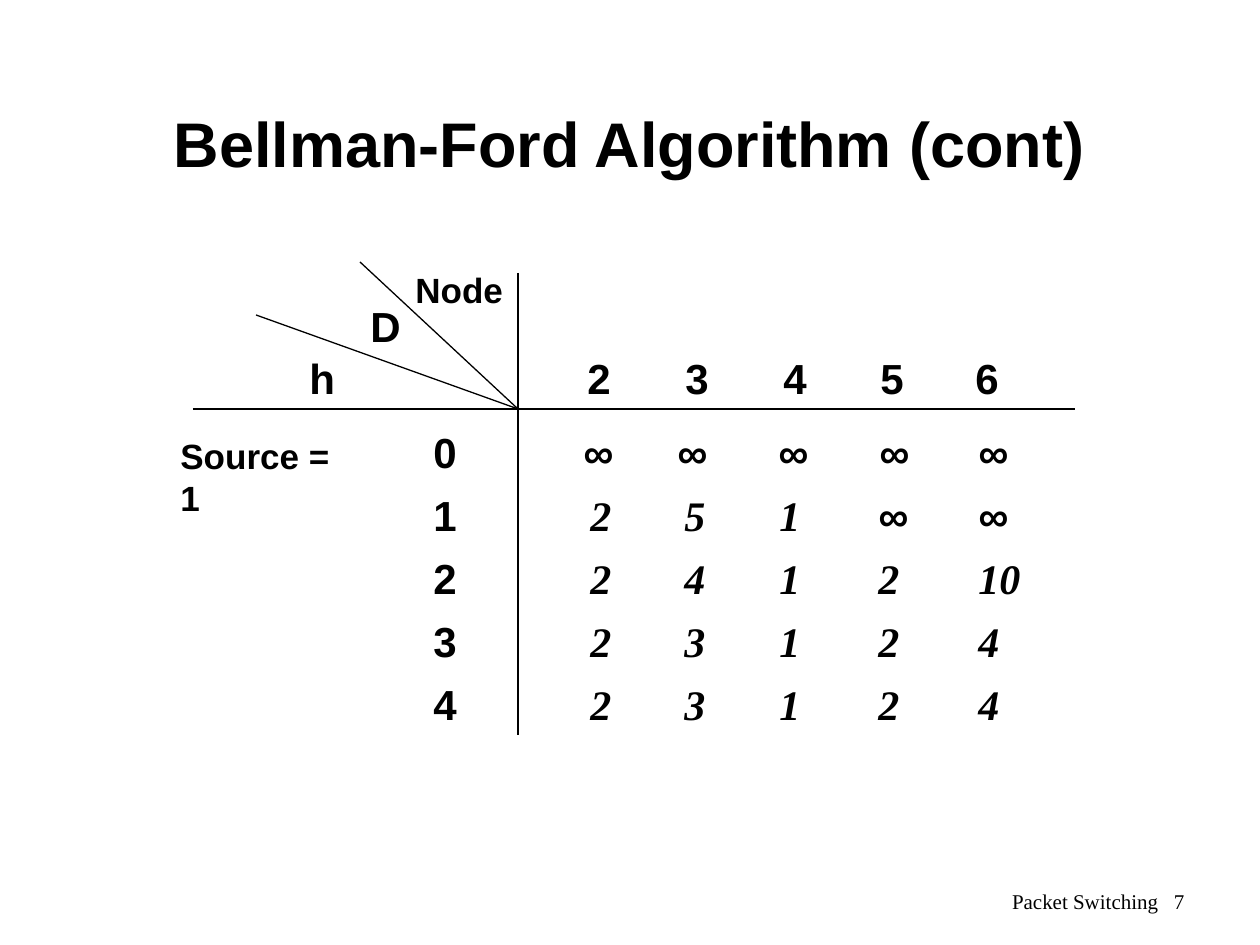
"""Build the Bellman-Ford distance table slide."""
from lxml.etree import SubElement
from pptx import Presentation
from pptx.dml.color import RGBColor
from pptx.enum.shapes import MSO_CONNECTOR
from pptx.enum.text import MSO_ANCHOR, MSO_AUTO_SIZE, PP_ALIGN
from pptx.oxml.ns import qn
from pptx.util import Pt

PX = 914400 // 126
SANS, SERIF = "Arial", "Times New Roman"
INK = "000000"
INF = "∞"

TITLE = "Bellman-Ford Algorithm (cont)"
FOOTER = "Packet Switching   7"
LABELS = [
    ("h", 297, 346, 50, 63, 24),
    ("D", 358, 294, 55, 63, 24),
    ("Node", 403, 262, 113, 54, 20),
    ("Source = 1", 168, 428, 203, 54, 20),
]
NODES = ["2", "3", "4", "5", "6"]
HOPS = [
    [INF, INF, INF, INF, INF],
    ["2", "5", "1", INF, INF],
    ["2", "4", "1", "2", "10"],
    ["2", "3", "1", "2", "4"],
    ["2", "3", "1", "2", "4"],
]
HEAD_X = [575, 673, 771, 868, 963]
START_X = [571, 665, 766, 867, 966]
CELL_X = [578, 672, 767, 866, 966]
HOP_X, HEAD_Y, TOP, PITCH = 421, 346, 420, 63
WIDTHS = {INF: 55, "10": 67}
HUB = (518, 409)
LINES = [
    ((193, 409), (1075, 409), 1.5),
    ((518, 273), (518, 735), 1.5),
    (HUB, (360, 262), 0.75),
    (HUB, (256, 315), 0.75),
]


def color(code):
    return RGBColor.from_string(code)


def write(text, x, y, w, h, size, font=SANS, bold=True, italic=False, align=None):
    box = slide.shapes.add_textbox(x * PX, y * PX, w * PX, h * PX)
    frame = box.text_frame
    frame.word_wrap = align is not None
    if align is None:
        frame.auto_size = MSO_AUTO_SIZE.SHAPE_TO_FIT_TEXT
    else:
        frame.vertical_anchor = MSO_ANCHOR.MIDDLE
    para = frame.paragraphs[0]
    para.text = text
    para.alignment = align or PP_ALIGN.LEFT
    para.font.name, para.font.size = font, Pt(size)
    para.font.bold, para.font.italic = bold, italic
    para.font.color.rgb = color(INK)


def draw(start, end, width):
    ends = [n * PX for n in start + end]
    line = slide.shapes.add_connector(MSO_CONNECTOR.STRAIGHT, *ends)
    line.line.color.rgb = color(INK)
    line.line.width = Pt(width)
    SubElement(line._element.spPr, qn("a:effectLst"))


deck = Presentation()
deck.slide_width, deck.slide_height = 1260 * PX, 945 * PX
slide = deck.slides.add_slide(deck.slide_layouts[6])

write(FOOTER, 903, 876, 294, 50, 12, SERIF, bold=False, align=PP_ALIGN.RIGHT)
write(TITLE, 94, 63, 1071, 158, 36, align=PP_ALIGN.CENTER)
for label in LABELS:
    write(*label)
for line in LINES:
    draw(*line)
for node, x in zip(NODES, HEAD_X):
    write(node, x, HEAD_Y, 49, PITCH, 24)
for hop, row in enumerate(HOPS):
    y = TOP + hop * PITCH
    write(str(hop), HOP_X, y, 49, PITCH, 24)
    for cost, x in zip(row, CELL_X if hop else START_X):
        font = SANS if cost == INF else SERIF
        write(cost, x, y, WIDTHS.get(cost, 46), PITCH, 24, font, italic=True)

deck.save("out.pptx")
